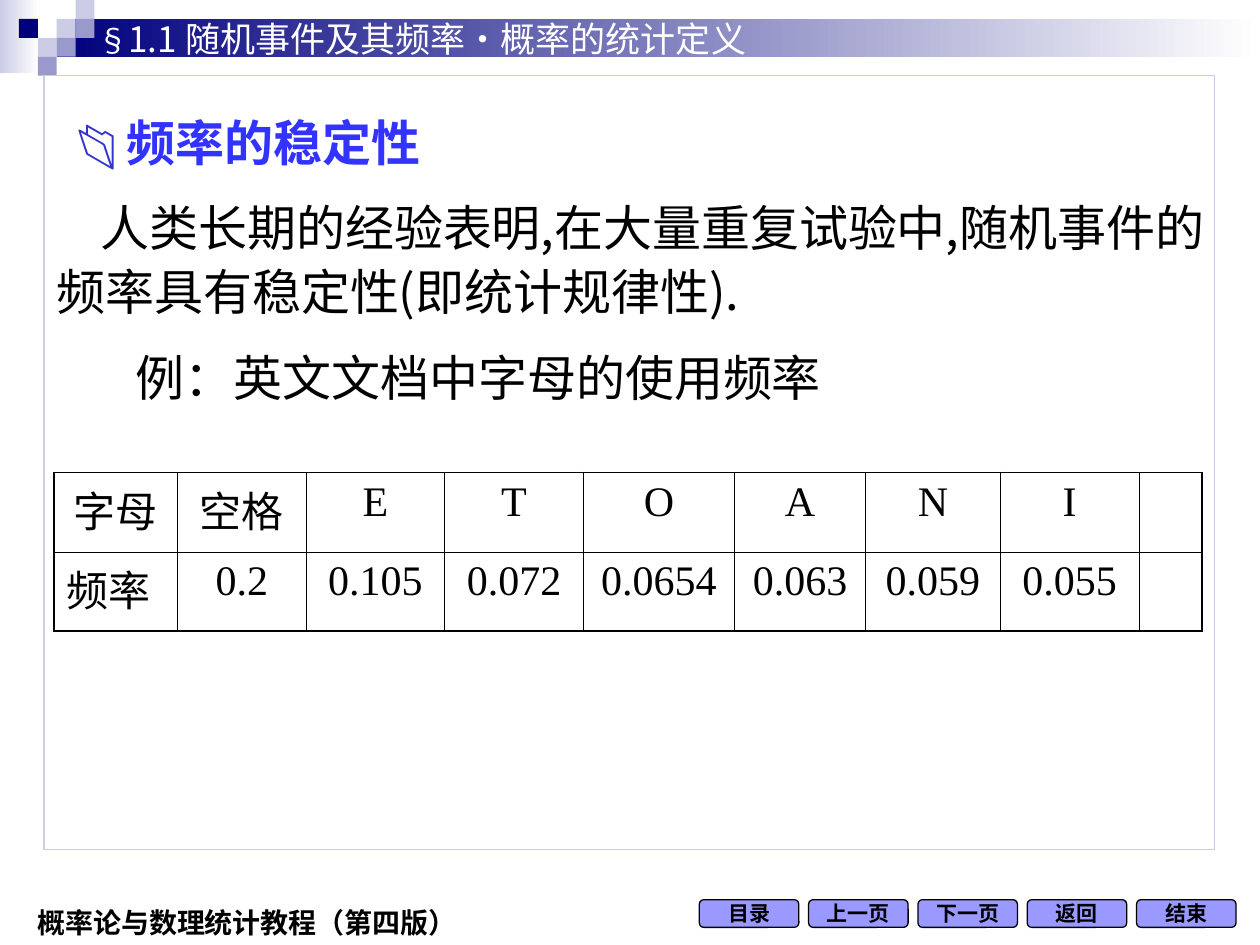
from dataclasses import dataclass

from lxml import etree
from pptx import Presentation
from pptx.dml.color import RGBColor
from pptx.enum import shapes, text
from pptx.oxml import ns
from pptx.util import Inches, Pt


@dataclass(frozen=True)
class Theme:
    """Colours, fonts and type sizes of the deck."""
    navy: str = "00007D"
    slate: str = "9999CC"
    mist: str = "CCCCE6"
    button: str = "9999FF"
    icon: str = "3333CC"
    heading: str = "3333FF"
    white: str = "FFFFFF"
    black: str = "000000"
    sans: str = "Arial"
    serif: str = "Times New Roman"
    chinese: str = "Noto Sans CJK SC"
    body_size: float = 28
    table_size: float = 24
    title_size: float = 20
    section_size: float = 18
    footer_size: float = 16
    button_size: float = 12
    thin: float = 0.45
    hairline: float = 0.75
    thick: float = 1.08


THEME = Theme()
LETTERS = ["字母", "空格", "E", "T", "O", "A", "N", "I", ""]
FREQUENCIES = ["频率", "0.2", "0.105", "0.072", "0.0654", "0.063", "0.059", "0.055", ""]
COLUMN_WIDTHS = [0.98, 1.02, 1.1, 1.1, 1.2, 1.04, 1.07, 1.1, 0.5]
BUTTONS = ["目录", "上一页", "下一页", "返回", "结束"]


def lengths(box):
    """Turn left, top, width and height into lengths."""
    return [Inches(value) for value in box]


def add_span(para, words, size, color=THEME.black, font=THEME.sans, bold=False):
    """Append formatted words to a paragraph."""
    span = para.add_run()
    span.text = words
    span.font.size = Pt(size)
    span.font.bold = bold
    span.font.color.rgb = RGBColor.from_string(color)
    span.font.name = font
    latin = span.font._element.find(ns.qn("a:latin"))
    east_asian = etree.Element(ns.qn("a:ea"), typeface=THEME.chinese)
    latin.addnext(east_asian)


def add_text(page, box, words=None, spacing=None, indent=0, **style):
    """Add a wrapping text box and return its paragraph."""
    frame = page.shapes.add_textbox(*lengths(box)).text_frame
    frame.word_wrap = True
    frame.auto_size = text.MSO_AUTO_SIZE.SHAPE_TO_FIT_TEXT
    para = frame.paragraphs[0]
    if spacing:
        para.line_spacing = spacing
    if indent:
        para._p.get_or_add_pPr().set("indent", str(Inches(indent)))
    if words:
        add_span(para, words, **style)
    return para


def add_block(page, box, fill=None, line=None, fade=None, kind=shapes.MSO_SHAPE.RECTANGLE):
    """Add a preset shape with a plain, fading or empty fill."""
    block = page.shapes.add_shape(kind, *lengths(box))
    block.shadow.inherit = False
    if fade:
        block.fill.gradient()
        block.fill.gradient_angle = 0
        for stop, color in zip(block.fill.gradient_stops, (fill, fade)):
            stop.color.rgb = RGBColor.from_string(color)
    elif fill:
        block.fill.solid()
        block.fill.fore_color.rgb = RGBColor.from_string(fill)
    else:
        block.fill.background()
    if line:
        block.line.color.rgb = RGBColor.from_string(line)
        block.line.width = Pt(THEME.hairline)
    else:
        block.line.fill.background()
    return block


def add_banner(page, box):
    """Draw the fading bars and the mosaic at the top."""
    left, top, width, height = box
    unit = height / 4
    add_block(page, (left, top, 0.31, 0.58), THEME.mist, fade=THEME.white)
    add_block(page, (left + 3 * unit, top + unit, width - 3 * unit, 2 * unit),
              THEME.navy, fade=THEME.white)
    mosaic = [(3, 1, THEME.mist), (4, 0, THEME.mist), (4, 1, THEME.slate), (2, 2, THEME.mist),
              (1, 1, THEME.navy), (3, 2, THEME.slate), (2, 3, THEME.slate)]
    for column, row, color in mosaic:
        add_block(page, (left + column * unit, top + row * unit, unit, unit), color)


def place_title(page, box):
    """Place the section title over the banner."""
    title = page.shapes.title
    title.left, title.top, title.width, title.height = lengths(box)
    page.shapes._spTree.append(title._element)
    frame = title.text_frame
    frame.word_wrap = True
    frame.auto_size = text.MSO_AUTO_SIZE.SHAPE_TO_FIT_TEXT
    frame.vertical_anchor = text.MSO_ANCHOR.TOP
    para = frame.paragraphs[0]
    para.alignment = text.PP_ALIGN.LEFT
    style = dict(color=THEME.white, font=THEME.chinese)
    add_span(para, "§", THEME.section_size, **style)
    add_span(para, "1.1 随机事件及其频率·概率的统计定义", THEME.title_size, **style)


def add_buttons(page, box):
    """Spread the navigation buttons evenly over the box."""
    left, top, width, height = box
    button_width = 0.79
    pitch = (width - button_width) / (len(BUTTONS) - 1)
    for index, label in enumerate(BUTTONS):
        button = add_block(page, (left + index * pitch, top, button_width, height), THEME.button,
                           THEME.black, kind=shapes.MSO_SHAPE.FLOWCHART_ALTERNATE_PROCESS)
        frame = button.text_frame
        frame.word_wrap = False
        frame.vertical_anchor = text.MSO_ANCHOR.MIDDLE
        para = frame.paragraphs[0]
        para.alignment = text.PP_ALIGN.CENTER
        add_span(para, label, THEME.button_size, bold=True)


def add_content(page, box):
    """Write the heading, the statement and the example caption."""
    left, top, width, _ = box
    heading = add_text(page, (left + 0.16, top + 0.24, 3.7, 0.57))
    add_span(heading, "📂 ", THEME.body_size, color=THEME.icon, bold=True)
    add_span(heading, "频率的稳定性", THEME.body_size, color=THEME.heading,
             font=THEME.chinese, bold=True)
    add_text(page, (left, top + 0.87, width + 0.04, 1.13),
             "人类长期的经验表明,在大量重复试验中,随机事件的频率具有稳定性(即统计规律性).",
             spacing=1.1, indent=0.35, size=THEME.body_size, font=THEME.chinese)
    add_text(page, (left + 0.63, top + 2.11, 7.09, 0.57),
             "例：英文文档中字母的使用频率", size=THEME.body_size)


def set_borders(cell, widths):
    """Draw black borders from a map of side to width."""
    properties = cell._tc.get_or_add_tcPr()
    for position, (side, width) in enumerate(widths.items()):
        line = etree.Element(ns.qn(f"a:ln{side}"), w=str(Pt(width)))
        fill = etree.SubElement(line, ns.qn("a:solidFill"))
        etree.SubElement(fill, ns.qn("a:srgbClr"), val=THEME.black)
        properties.insert(position, line)


def add_frequency_table(page, box):
    """Add the table of letter frequencies."""
    rows = [LETTERS, FREQUENCIES]
    last_row, last_column = len(rows) - 1, len(LETTERS) - 1
    table = page.shapes.add_table(len(rows), len(LETTERS), *lengths(box)).table
    table.first_row = table.horz_banding = False
    for column, width in zip(table.columns, COLUMN_WIDTHS):
        column.width = Inches(width)
    for row, labels in enumerate(rows):
        for column, label in enumerate(labels):
            cell = table.cell(row, column)
            cell.fill.background()
            edges = {"L": column == 0, "R": column == last_column,
                     "T": row == 0, "B": row == last_row}
            set_borders(cell, {side: THEME.thick if outer else THEME.thin
                               for side, outer in edges.items()})
            if label:
                para = cell.text_frame.paragraphs[0]
                left_aligned = label == "频率"
                para.alignment = text.PP_ALIGN.LEFT if left_aligned else text.PP_ALIGN.CENTER
                add_span(para, label, THEME.table_size,
                         font=THEME.serif if label.isascii() else THEME.sans)


def main():
    """Build and save the deck."""
    deck = Presentation()
    deck.slide_width, deck.slide_height = Inches(10), Inches(7.5)
    page = deck.slides.add_slide(deck.slide_layouts[5])
    content_box = (0.35, 0.6, 9.29, 6.14)
    add_banner(page, (0, 0, 10, 0.6))
    add_block(page, content_box, line=THEME.mist)
    add_text(page, (0.2, 7.14, 4.06, 0.37), "概率论与数理统计教程（第四版）",
             size=THEME.footer_size, bold=True)
    add_buttons(page, (5.55, 7.14, 4.26, 0.22))
    add_content(page, content_box)
    add_frequency_table(page, (0.43, 3.75, 9.13, 1.26))
    place_title(page, (0.67, 0.09, 8.27, 0.44))
    deck.save("out.pptx")


if __name__ == "__main__":
    main()
